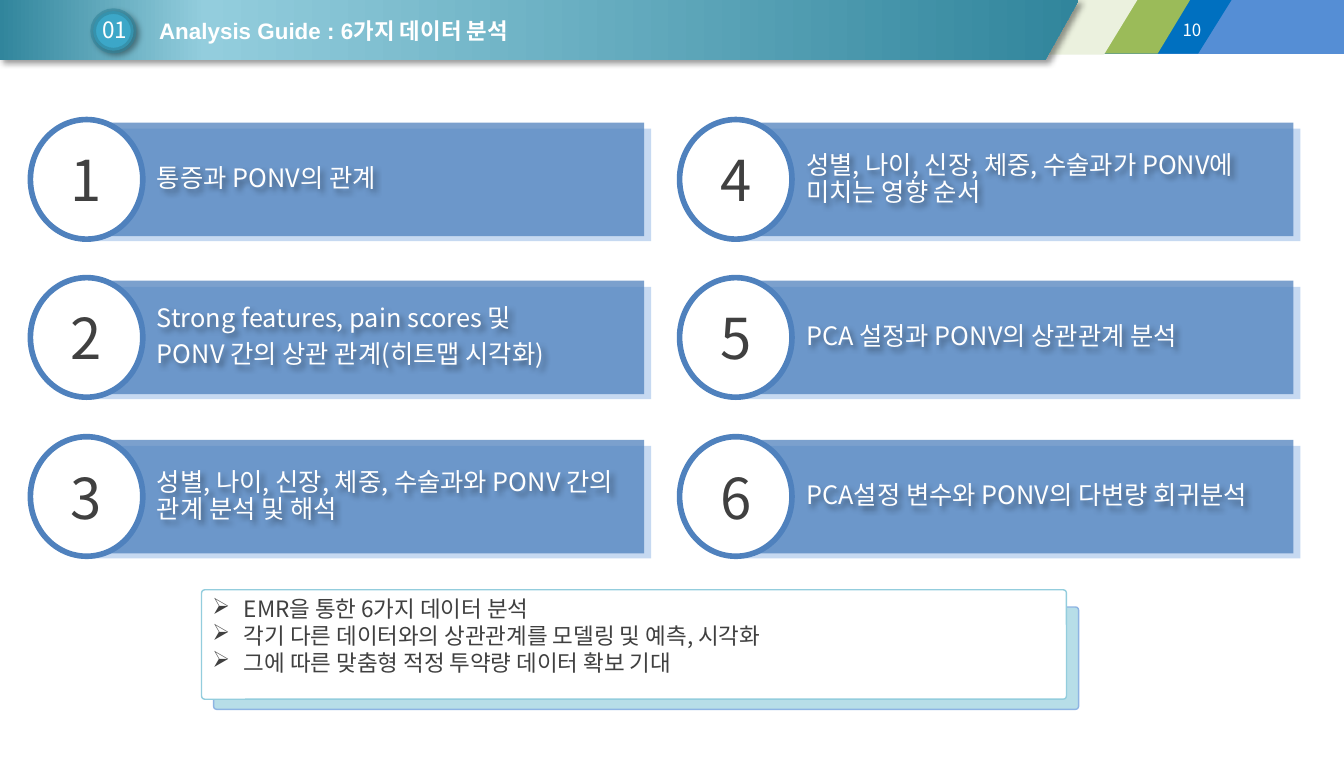
from dataclasses import dataclass

from lxml.etree import SubElement
from pptx import Presentation
from pptx.dml.color import RGBColor
from pptx.enum.shapes import MSO_SHAPE as Preset
from pptx.enum.text import MSO_ANCHOR as Anchor, MSO_AUTO_SIZE as AutoSize, PP_ALIGN as Align
from pptx.oxml.ns import qn
from pptx.util import Inches, Pt


@dataclass(frozen=True)
class Theme:
    """Colours, fonts and type sizes of the slide."""
    white: str = "FFFFFF"
    ink: str = "404040"
    black: str = "000000"
    teal: str = "31859C"
    aqua: str = "93CDDD"
    badge: str = "3CA7C8"
    blue: str = "4F81BD"
    card_back: str = "C6D9F1"
    summary_back: str = "B7DEE8"
    summary_edge: str = "8EB4E3"
    bands: tuple = ("558ED5", "0070C0", "9BBB59", "EBF1DE")
    body_font: str = "Noto Sans CJK KR"
    title_font: str = "Arial"
    page_size: float = 12
    title_size: float = 15.9
    badge_size: float = 16
    summary_size: float = 16
    card_size: float = 18
    number_size: float = 40
    line_pitch: float = 19
    card_gap: float = 6.3


THEME = Theme()
COLUMN_LEFTS = (0.3, 6.71)
ROW_TOPS = (1.21, 2.77, 4.34)
BAND_EDGES = ((9.94, 13.27, 13.27, 0.53), (1.51, 12.16, 11.83, 0.53),
              (1.1, 11.75, 11.43, 0.53), (0.39, 11.23, 10.9, 0.54))
CARDS = (
    ("통증과 PONV의 관계",),
    ("Strong features, pain scores 및", "PONV 간의 상관 관계(히트맵 시각화)"),
    ("성별, 나이, 신장, 체중, 수술과와 PONV 간의 관계 분석 및 해석",),
    ("성별, 나이, 신장, 체중, 수술과가 PONV에 미치는 영향 순서",),
    ("PCA 설정과 PONV의 상관관계 분석",),
    ("PCA설정 변수와 PONV의 다변량 회귀분석",),
)
SUMMARY = ("EMR을 통한 6가지 데이터 분석",
           "각기 다른 데이터와의 상관관계를 모델링 및 예측, 시각화",
           "그에 따른 맞춤형 적정 투약량 데이터 확보 기대")


def rgb(color):
    """Turn a hex string into a colour."""
    return RGBColor.from_string(color)


def set_alpha(fill_parent, percent):
    """Make the solid colour under an element partly transparent."""
    color = fill_parent.find(".//" + qn("a:srgbClr"))
    SubElement(color, qn("a:alpha"), val=str(percent * 1000))


def add_shadow(shape):
    """Give a shape a soft shadow to its lower right."""
    shape.shadow.inherit = False
    effects = shape._element.spPr.find(qn("a:effectLst"))
    shadow = SubElement(effects, qn("a:outerShdw"), blurRad=str(Pt(4)), dist=str(Pt(3)),
                        dir="2700000", algn="tl", rotWithShape="0")
    color = SubElement(shadow, qn("a:srgbClr"), val=THEME.black)
    SubElement(color, qn("a:alpha"), val="40000")


def paint(shape, fill, edge=None, width=1):
    """Set a plain fill and an optional outline."""
    shape.shadow.inherit = False
    shape.fill.solid()
    shape.fill.fore_color.rgb = rgb(fill)
    if edge:
        shape.line.color.rgb = rgb(edge)
        shape.line.width = Pt(width)
    else:
        shape.line.fill.background()
    return shape


def add_block(slide, preset, box, fill, edge=None, width=1):
    """Add a filled preset shape."""
    shape = slide.shapes.add_shape(preset, *map(Inches, box))
    return paint(shape, fill, edge, width)


def write(shape, lines, size, color, align=Align.LEFT, anchor=Anchor.MIDDLE,
          font=THEME.body_font, bold=False, pitch=None, gap=None, bullet=None):
    """Write paragraphs in one style."""
    frame = shape.text_frame
    frame.word_wrap = True
    frame.auto_size = AutoSize.NONE
    frame.vertical_anchor = anchor
    frame.text = "\n".join(lines)
    for paragraph in frame.paragraphs:
        paragraph.alignment = align
        if pitch:
            paragraph.line_spacing = Pt(pitch)
        if gap:
            paragraph.space_after = Pt(gap)
        if bullet:
            properties = paragraph._p.get_or_add_pPr()
            properties.set("marL", str(Inches(0.31)))
            properties.set("indent", str(Inches(-0.31)))
            SubElement(properties, qn("a:buChar"), char=bullet)
        paragraph.font.size = Pt(size)
        paragraph.font.bold = bold
        paragraph.font.color.rgb = rgb(color)
        paragraph.font.name = font
        SubElement(paragraph.font._element, qn("a:ea"), typeface=THEME.body_font)


def add_label(slide, box, lines, size, color, **style):
    """Add a text box."""
    label = slide.shapes.add_textbox(*map(Inches, box))
    write(label, lines, size, color, **style)
    return label


def add_band(slide, left, top_right, bottom_right, depth, color):
    """Add a header band with a slanted right end."""
    corners = [(Inches(x), Inches(y)) for x, y in
               ((left, 0), (top_right, 0), (bottom_right, depth), (left, depth))]
    builder = slide.shapes.build_freeform(*corners[0])
    builder.add_line_segments(corners[1:])
    return paint(builder.convert_to_shape(), color)


def add_header(slide):
    """Add the bands, page number, title and section badge."""
    for edges, color in zip(BAND_EDGES, THEME.bands):
        add_band(slide, *edges, color)
    ribbon = add_band(slide, 0, 10.65, 10.32, 0.59, THEME.teal)
    ribbon.fill.gradient()
    ribbon.fill.gradient_angle = 0
    stops = ribbon._element.spPr.find(".//" + qn("a:gsLst"))
    stops.clear()
    for position, color in ((0, THEME.teal), (19, THEME.aqua), (100, THEME.teal)):
        stop = SubElement(stops, qn("a:gs"), pos=str(position * 1000))
        SubElement(stop, qn("a:srgbClr"), val=color)
    add_shadow(ribbon)

    add_label(slide, (8.86, 0.15, 3.1, 0.29), ["10"], THEME.page_size, THEME.white,
              align=Align.RIGHT)
    title = slide.shapes.title
    title.left, title.top, title.width, title.height = map(Inches, (1.47, 0.12, 5.96, 0.37))
    write(title, ["Analysis Guide : 6가지 데이터 분석"], THEME.title_size, THEME.white,
          font=THEME.title_font, bold=True)
    slide.shapes._spTree.append(title._element)

    badge = add_block(slide, Preset.OVAL, (0.92, 0.11, 0.4, 0.39), THEME.badge, THEME.teal, 4)
    set_alpha(badge._element.spPr.find(qn("a:ln")), 60)
    add_shadow(badge)
    add_label(slide, (0.85, 0.11, 0.57, 0.37), ["01"], THEME.badge_size, THEME.white,
              align=Align.CENTER)


def add_card(slide, left, top, number, lines):
    """Add a numbered analysis card."""
    add_block(slide, Preset.RECTANGLE, (left + 0.62, top + 0.06, 5.51, 1.11), THEME.card_back)
    panel = add_block(slide, Preset.RECTANGLE, (left + 0.76, top, 5.3, 1.12), THEME.blue)
    set_alpha(panel._element.spPr, 75)
    topic = add_label(slide, (left + 0.76, top, 5.37, 1.12), lines, THEME.card_size,
                      THEME.white, pitch=THEME.line_pitch, gap=THEME.card_gap)
    frame = topic.text_frame
    frame.margin_left = Inches(0.49)
    frame.margin_top = frame.margin_right = frame.margin_bottom = Inches(0.03)
    add_shadow(topic)
    circle = add_block(slide, Preset.OVAL, (left, top - 0.03, 1.11, 1.18), THEME.white,
                       THEME.blue, 4)
    write(circle, [str(number)], THEME.number_size, THEME.ink, align=Align.CENTER)


def add_summary(slide):
    """Add the bulleted summary on its offset backing."""
    backing = add_block(slide, Preset.ROUNDED_RECTANGLE, (2.11, 5.99, 8.54, 1.01),
                        THEME.summary_back, THEME.summary_edge)
    panel = add_block(slide, Preset.ROUNDED_RECTANGLE, (1.99, 5.82, 8.54, 1.08),
                      THEME.white, THEME.aqua)
    for sheet in (backing, panel):
        sheet.adjustments[0] = 0.03
    write(panel, SUMMARY, THEME.summary_size, THEME.ink, anchor=Anchor.TOP,
          pitch=THEME.line_pitch, bullet="➢")


def main():
    """Build and save the slide."""
    deck = Presentation()
    deck.slide_width, deck.slide_height = Inches(13.27), Inches(7.5)
    slide = deck.slides.add_slide(deck.slide_layouts[5])
    add_header(slide)
    for index, lines in enumerate(CARDS):
        column, row = divmod(index, len(ROW_TOPS))
        add_card(slide, COLUMN_LEFTS[column], ROW_TOPS[row], index + 1, lines)
    add_summary(slide)
    deck.save("out.pptx")


if __name__ == "__main__":
    main()
